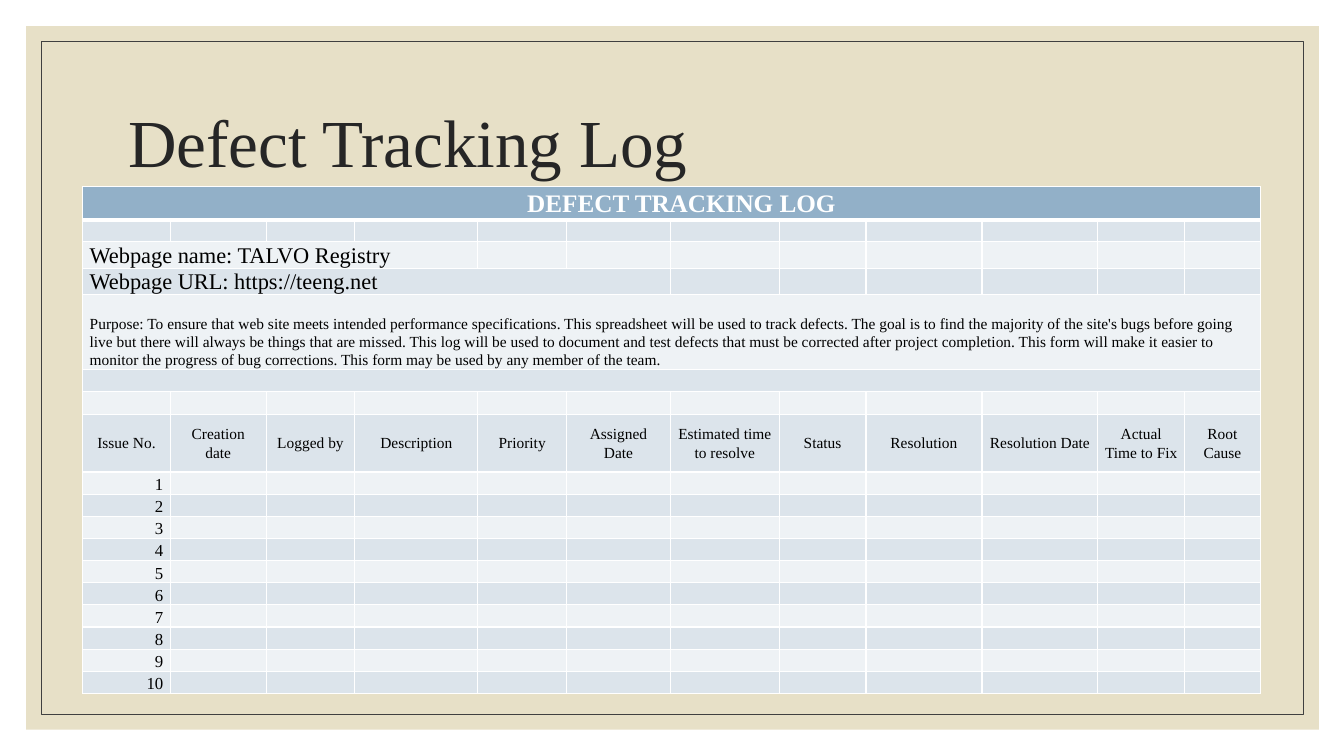
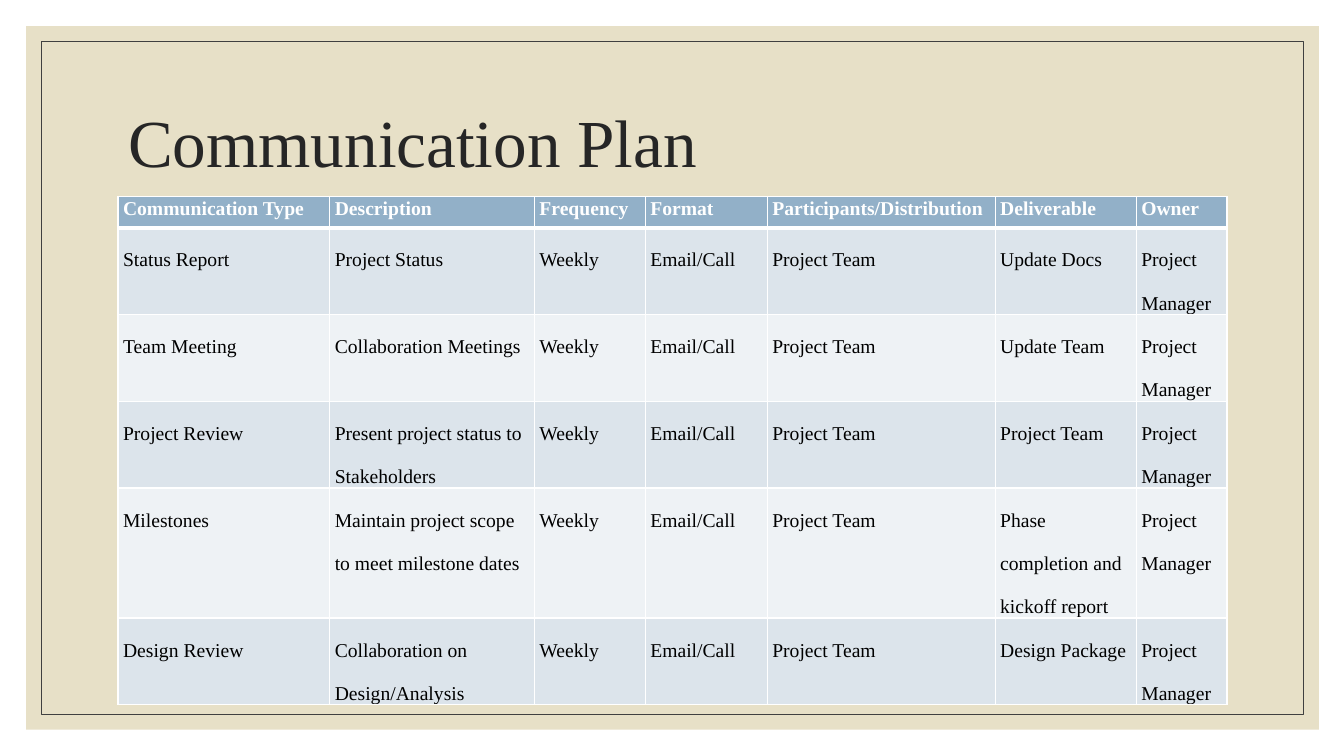
from lxml import etree
from pptx import Presentation
from pptx.dml.color import RGBColor
from pptx.enum.shapes import MSO_SHAPE
from pptx.enum.text import MSO_ANCHOR, MSO_AUTO_SIZE, PP_ALIGN
from pptx.oxml.ns import qn
from pptx.util import Inches, Pt

rgb = RGBColor.from_string
FONT = "Times New Roman"
WHITE, BLACK, TITLE_INK, FRAME_LINE = "FFFFFF", "000000", "262626", "404040"
SAND, HEADER, BAND_DARK, BAND_LIGHT = "E7E0C7", "92B0C8", "DCE4EB", "EEF2F5"


def put_text(tf, text, size=14, color=BLACK, bold=False, align=PP_ALIGN.LEFT, spacing=1.06):
    p = tf.paragraphs[0]
    p.alignment = align
    p.line_spacing = spacing
    r = p.add_run()
    r.text = text
    r.font.name = FONT
    r.font.size = Pt(size)
    r.font.bold = bold
    r.font.color.rgb = rgb(color)


def make_table(s, left, top, widths, heights, inset):
    """Add an empty table with a header row, banded fills and white borders."""
    table = s.shapes.add_table(len(heights), len(widths), Inches(left), Inches(top),
                               Inches(sum(widths)), Inches(sum(heights))).table
    for column, width in zip(table.columns, widths):
        column.width = Inches(width)
    for i, (row, height) in enumerate(zip(table.rows, heights)):
        row.height = Inches(height)
        for cell in row.cells:
            cell.margin_left = cell.margin_right = Inches(inset)
            cell.margin_top = cell.margin_bottom = 0
            tcPr = cell._tc.get_or_add_tcPr()
            for side in ("lnL", "lnR", "lnT", "lnB"):
                thick = (i, side) in ((0, "lnB"), (1, "lnT"))
                ln = etree.SubElement(tcPr, qn("a:" + side), w=str(Pt(3 if thick else 1)))
                line_fill = etree.SubElement(ln, qn("a:solidFill"))
                etree.SubElement(line_fill, qn("a:srgbClr"), val=WHITE)
            cell.fill.solid()
            cell.fill.fore_color.rgb = rgb(HEADER if i == 0 else BAND_DARK if i % 2 else BAND_LIGHT)
            # Keeps empty cells from stretching their row
            etree.SubElement(cell.text_frame.paragraphs[0]._p, qn("a:endParaRPr"), sz="800")
    return table


prs = Presentation()
prs.slide_width, prs.slide_height = Inches(13.33), Inches(7.5)
layout = prs.slide_layouts[5]
title = layout.placeholders[0]
title.left, title.top, title.width, title.height = map(Inches, (1.17, 0.7, 11, 1.5))

slides = []
for heading in ("Defect Tracking Log", "Communication Plan"):
    s = prs.slides.add_slide(layout)
    tf = s.shapes.title.text_frame
    tf.auto_size = MSO_AUTO_SIZE.NONE
    tf.vertical_anchor = MSO_ANCHOR.MIDDLE
    put_text(tf, heading, size=48, color=TITLE_INK, spacing=0.9)
    slides.append(s)
log_slide, plan_slide = slides

# Shared background panel and frame, moved behind the layout's title
panel = log_slide.shapes.add_shape(MSO_SHAPE.RECTANGLE, Inches(0.26), Inches(0.26),
                                   Inches(12.82), Inches(6.98))
panel.fill.solid()
panel.fill.fore_color.rgb = rgb(SAND)
panel.line.fill.background()
frame = log_slide.shapes.add_shape(MSO_SHAPE.RECTANGLE, Inches(0.41), Inches(0.41),
                                   Inches(12.52), Inches(6.68))
frame.fill.background()
frame.line.color.rgb = rgb(FRAME_LINE)
frame.line.width = Pt(0.5)
for i, shape in enumerate((panel, frame)):
    shape.shadow.inherit = False
    shape._element.nvSpPr.cNvPr.set("id", str(20 + i))
    layout.shapes._spTree.insert(2 + i, shape._element)

# Defect tracking log
widths = [0.87, 0.95, 0.88, 1.22, 0.88, 1.03, 1.08, 0.86, 1.15, 1.15, 0.86, 0.75]
heights = [0.33, 0.22, 0.26, 0.26, 0.74, 0.22, 0.23, 0.57] + [0.22] * 10
log = make_table(log_slide, 0.82, 1.85, widths, heights, 0.07)
for row, span in ((0, 12), (2, 4), (3, 6), (4, 12), (5, 12)):
    log.cell(row, 0).merge(log.cell(row, span - 1))

banner = log.cell(0, 0)
banner.margin_left = Inches(0.27)
banner.vertical_anchor = MSO_ANCHOR.MIDDLE
put_text(banner.text_frame, "DEFECT TRACKING LOG", size=18, color=WHITE, bold=True,
         align=PP_ALIGN.CENTER)

purpose = (
    "Purpose: To ensure that web site meets intended performance specifications. "
    "This spreadsheet will be used to track defects. The goal is to find the majority of "
    "the site's bugs before going live but there will always be things that are missed. "
    "This log will be used to document and test defects that must be corrected after "
    "project completion. This form will make it easier to monitor the progress of bug "
    "corrections. This form may be used by any member of the team."
)
for row, text, size in ((2, "Webpage name: TALVO Registry", 16),
                        (3, "Webpage URL: https://teeng.net", 16),
                        (4, purpose, 11)):
    cell = log.cell(row, 0)
    cell.vertical_anchor = MSO_ANCHOR.BOTTOM
    put_text(cell.text_frame, text, size=size)

log_columns = ["Issue No.", "Creation date", "Logged by", "Description", "Priority",
               "Assigned Date", "Estimated time to resolve", "Status", "Resolution",
               "Resolution Date", "Actual Time to Fix", "Root Cause"]
for col, text in enumerate(log_columns):
    cell = log.cell(7, col)
    cell.vertical_anchor = MSO_ANCHOR.MIDDLE
    put_text(cell.text_frame, text, size=11, align=PP_ALIGN.CENTER)

for number in range(1, 11):
    cell = log.cell(7 + number, 0)
    cell.vertical_anchor = MSO_ANCHOR.BOTTOM
    put_text(cell.text_frame, str(number), size=12, align=PP_ALIGN.RIGHT)

# Communication plan
plan_columns = ["Communication Type", "Description", "Frequency", "Format",
                "Participants/Distribution", "Deliverable", "Owner"]
communications = [
    ("Status Report", "Project Status", "Update Docs"),
    ("Team Meeting", "Collaboration Meetings", "Update Team"),
    ("Project Review", "Present project status to Stakeholders", "Project Team"),
    ("Milestones", "Maintain project scope to meet milestone dates",
     "Phase completion and kickoff report"),
    ("Design Review", "Collaboration on Design/Analysis", "Design Package"),
]
plan = make_table(plan_slide, 1.17, 1.95, [2.1, 2.03, 1.1, 1.21, 2.26, 1.4, 0.9],
                  [0.31, 0.85, 0.85, 0.85, 1.16, 0.85], 0.05)
for col, text in enumerate(plan_columns):
    put_text(plan.cell(0, col).text_frame, text, color=WHITE, bold=True)
for row, (kind, description, deliverable) in enumerate(communications, 1):
    values = (kind, description, "Weekly", "Email/Call", "Project Team", deliverable,
              "Project Manager")
    for col, text in enumerate(values):
        put_text(plan.cell(row, col).text_frame, text, spacing=2)

prs.save("out.pptx")
